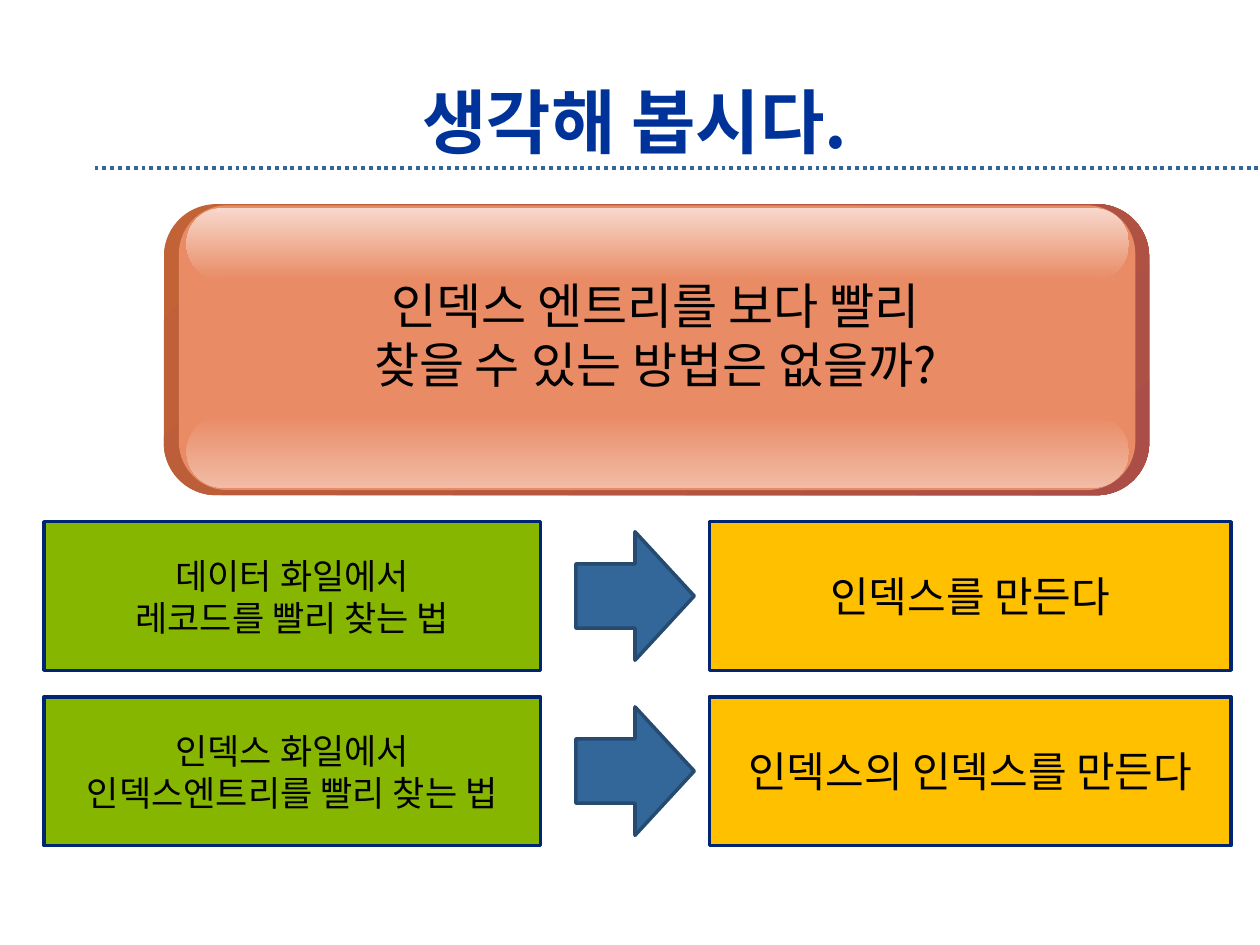
from dataclasses import dataclass

from pptx import Presentation
from pptx.dml.color import RGBColor
from pptx.enum.dml import MSO_LINE
from pptx.enum.shapes import MSO_CONNECTOR, MSO_SHAPE as Preset
from pptx.enum.text import MSO_ANCHOR as Anchor, MSO_AUTO_SIZE as AutoSize, PP_ALIGN as Align
from pptx.oxml.ns import qn
from pptx.util import Inches, Pt
from lxml.etree import SubElement


@dataclass(frozen=True)
class Theme:
    font: str = "Noto Sans CJK KR"
    text: str = "000000"
    title: str = "003399"
    problem: str = "86B600"
    solution: str = "FFC000"
    box_line: str = "002673"
    arrow: str = "336699"
    arrow_line: str = "264B71"
    banner_edge: tuple = ("C16237", "AB4E47")
    banner: str = "E98B65"
    banner_top: str = "F8D8CC"
    banner_bottom: str = "F2BCA6"
    title_size: int = 40
    banner_size: int = 28
    solution_size: int = 24
    problem_size: int = 20


THEME = Theme()


def rgb(value):
    return RGBColor.from_string(value)


def inches(box):
    return [Inches(value) for value in box]


def write(shape, lines, size, color=THEME.text, bold=False, anchor=Anchor.MIDDLE):
    frame = shape.text_frame
    frame.word_wrap = True
    frame.auto_size = AutoSize.NONE
    frame.vertical_anchor = anchor
    frame.text = "\n".join(lines)
    for paragraph in frame.paragraphs:
        paragraph.alignment = Align.CENTER
        font = paragraph.font
        font.size = Pt(size)
        font.bold = bold
        font.color.rgb = rgb(color)
        font.name = THEME.font
        defaults = paragraph._p.pPr.find(qn("a:defRPr"))
        SubElement(defaults, qn("a:ea"), typeface=THEME.font)


def add_block(slide, preset, box, fill, line=None):
    shape = slide.shapes.add_shape(preset, *inches(box))
    shape.shadow.inherit = False
    shape.fill.solid()
    shape.fill.fore_color.rgb = rgb(fill)
    if line:
        shape.line.color.rgb = rgb(line)
        shape.line.width = Pt(2)
    else:
        shape.line.fill.background()
    return shape


def add_rounded(slide, box, radius, start, end=None, angle=270):
    shape = add_block(slide, Preset.ROUNDED_RECTANGLE, box, start)
    shape.adjustments[0] = radius
    if end:
        shape.fill.gradient()
        shape.fill.gradient_angle = angle
        for stop, color in zip(shape.fill.gradient_stops, (start, end)):
            stop.color.rgb = rgb(color)


def add_title(slide, text):
    title = slide.shapes.title
    title.left, title.top, title.width, title.height = inches((0.75, 0.67, 8.58, 0.58))
    write(title, [text], THEME.title_size, THEME.title, bold=True)


def add_rule(slide):
    rule = slide.shapes.add_connector(MSO_CONNECTOR.STRAIGHT, *inches((0.75, 1.33, 10, 1.33)))
    rule.line.color.rgb = rgb(THEME.arrow)
    rule.line.width = Pt(2.25)
    rule.line.dash_style = MSO_LINE.ROUND_DOT
    SubElement(rule._element.spPr, qn("a:effectLst"))


def add_banner(slide, lines):
    add_rounded(slide, (1.3, 1.62, 7.82, 2.31), 0.18, *THEME.banner_edge, angle=315)
    add_rounded(slide, (1.42, 1.63, 7.59, 2.26), 0.17, THEME.banner)
    add_rounded(slide, (1.48, 3.3, 7.48, 0.57), 0.5, THEME.banner, THEME.banner_bottom)
    add_rounded(slide, (1.48, 1.65, 7.48, 0.57), 0.5, THEME.banner_top, THEME.banner)
    text_box = slide.shapes.add_textbox(*inches((1.38, 2.14, 7.64, 1.08)))
    write(text_box, lines, THEME.banner_size, anchor=Anchor.TOP)


def add_step(slide, top, problem, solution):
    left = add_block(slide, Preset.RECTANGLE, (0.35, top, 3.94, 1.18), THEME.problem, THEME.box_line)
    write(left, problem, THEME.problem_size)
    add_block(slide, Preset.RIGHT_ARROW, (4.57, top + 0.08, 0.94, 1.02), THEME.arrow, THEME.arrow_line)
    right = add_block(slide, Preset.RECTANGLE, (5.63, top, 4.14, 1.18), THEME.solution, THEME.box_line)
    write(right, [solution], THEME.solution_size)


def main():
    presentation = Presentation()
    presentation.slide_width, presentation.slide_height = inches((10, 7.5))
    slide = presentation.slides.add_slide(presentation.slide_layouts[5])
    add_rule(slide)
    add_title(slide, "생각해 봅시다.")
    add_banner(slide, ["인덱스 엔트리를 보다 빨리", "찾을 수 있는 방법은 없을까?"])
    steps = [
        (["데이터 화일에서", "레코드를 빨리 찾는 법"], "인덱스를 만든다"),
        (["인덱스 화일에서", "인덱스엔트리를 빨리 찾는 법"], "인덱스의 인덱스를 만든다"),
    ]
    for row, (problem, solution) in enumerate(steps):
        add_step(slide, 4.14 + 1.39 * row, problem, solution)
    presentation.save("out.pptx")


if __name__ == "__main__":
    main()
